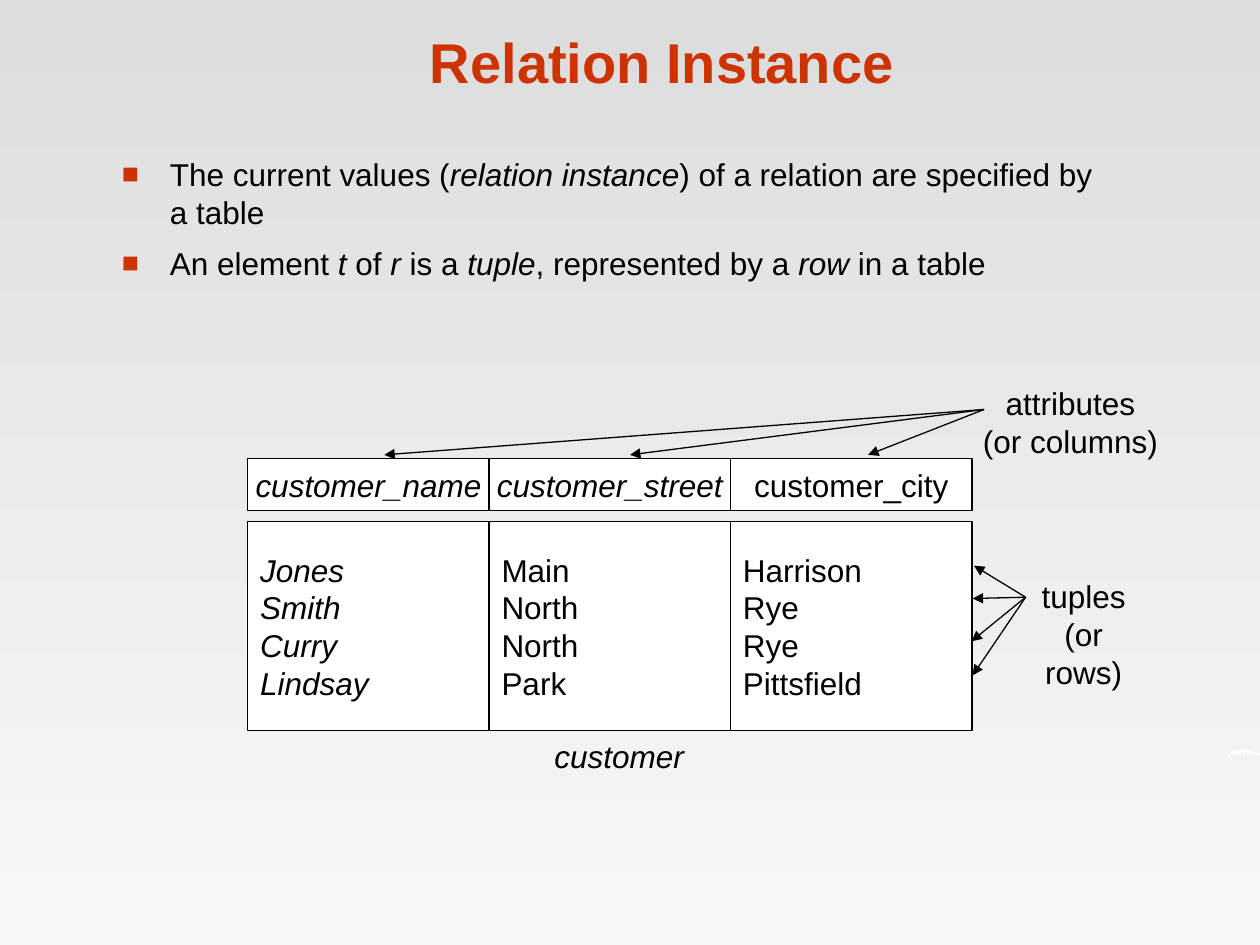
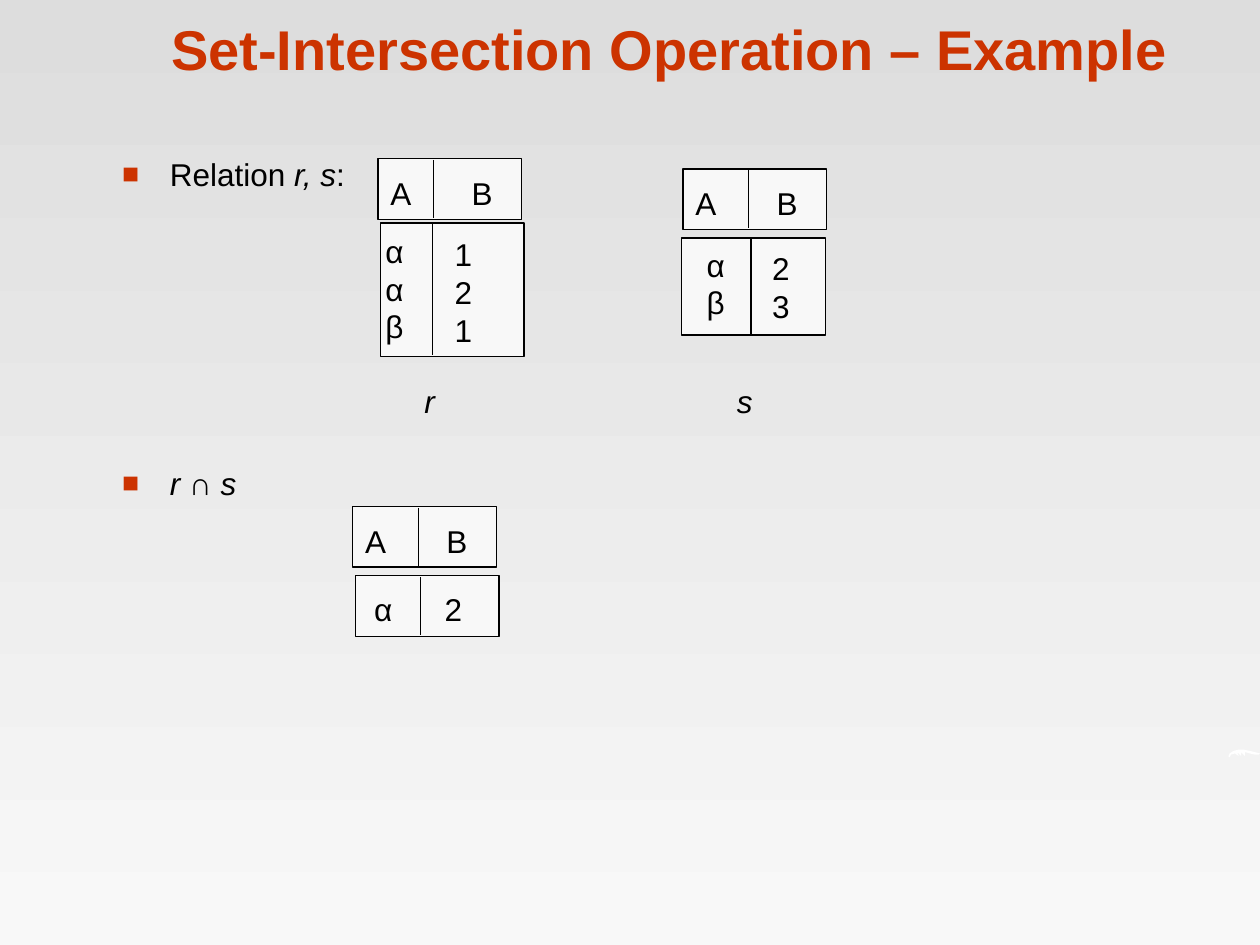
from lxml import etree
from pptx import Presentation, util as u
from pptx.dml.color import RGBColor
from pptx.enum import shapes, text
from pptx.oxml.ns import qn

RED = RGBColor(0xCC, 0x33, 0x00)
BLACK = RGBColor(0, 0, 0)
WHITE = RGBColor(0xFF, 0xFF, 0xFF)
PALE = RGBColor(0xF8, 0xF8, 0xF8)
GREY = RGBColor(0xDD, 0xDD, 0xDD)
FONT = "Arial"
LEFT, CENTER = text.PP_ALIGN.LEFT, text.PP_ALIGN.CENTER
TOP, MIDDLE, BOTTOM = (text.MSO_ANCHOR.TOP, text.MSO_ANCHOR.MIDDLE,
                       text.MSO_ANCHOR.BOTTOM)

prs = Presentation()
prs.slide_width, prs.slide_height = u.Inches(10), u.Inches(7.5)
G = prs.slide_width // 100  # the slide is a grid of 100 columns by 75 rows


def write(s, box, paras, size=18, color=BLACK, bold=False, align=LEFT, anchor=TOP,
          fill=None, wrap=True, bullet=False, before=0, tab=None):
    """Put paragraphs in a box of grid units; *stars* mark italics, fill adds an outline."""
    box = [int(v * G) for v in box]
    if fill is None:
        sp = s.shapes.add_textbox(*box)
    else:
        sp = s.shapes.add_shape(shapes.MSO_SHAPE.RECTANGLE, *box)
        sp.shadow.inherit = False
        sp.fill.solid()
        sp.fill.fore_color.rgb = fill
        sp.line.color.rgb = BLACK
        sp.line.width = u.Pt(0.75)
    tf = sp.text_frame
    tf.word_wrap = wrap
    tf.vertical_anchor = anchor
    for i, para in enumerate(paras):
        p = tf.add_paragraph() if i else tf.paragraphs[0]
        p.alignment = align
        p.line_spacing = u.Pt(size * 1.2)
        p.space_before = u.Pt(before if i else 0)
        pPr = p._p.get_or_add_pPr()
        if bullet:
            pPr.set("marL", str(int(3.8 * G)))
            pPr.set("indent", str(int(-3.8 * G)))
            clr = etree.SubElement(pPr, qn("a:buClr"))
            etree.SubElement(clr, qn("a:srgbClr"), val=str(RED))
            etree.SubElement(pPr, qn("a:buSzPct"), val="90000")
            etree.SubElement(pPr, qn("a:buFont"), typeface=FONT)
            etree.SubElement(pPr, qn("a:buChar"), char="■")
        if tab:
            tabs = etree.SubElement(pPr, qn("a:tabLst"))
            etree.SubElement(tabs, qn("a:tab"), pos=str(int(tab * G)), algn="l")
        for j, part in enumerate(para.split("*")):
            if part:
                r = p.add_run()
                r.text = part
                r.font.name, r.font.size = FONT, u.Pt(size)
                r.font.bold, r.font.italic = bold, j % 2 == 1
                r.font.color.rgb = color


def line(s, *ends, arrow=False):
    c = s.shapes.add_connector(shapes.MSO_CONNECTOR.STRAIGHT,
                               *[int(v * G) for v in ends])
    c.line.color.rgb = BLACK
    c.line.width = u.Pt(0.75)
    spPr = c._element.spPr
    if arrow:
        etree.SubElement(spPr.find(qn("a:ln")), qn("a:tailEnd"), type="triangle")
    etree.SubElement(spPr, qn("a:effectLst"))


# Shared background, corner swoosh and titles
bg = prs.slide_master.background.fill
bg.gradient()
bg.gradient_angle = 270
for stop, color in zip(bg.gradient_stops, (GREY, PALE)):
    stop.color.rgb = color

# Swoosh outline in tenths of a grid unit
SWOOSH = [(975, 600), (976, 598), (979, 596), (983, 595), (987, 595), (992, 596),
          (996, 597), (1000, 598), (999, 599), (996, 599), (992, 598), (988, 597),
          (988, 600), (985, 597), (985, 600), (982, 597), (983, 600), (980, 598),
          (977, 599), (976, 601)]
TITLES = [("Relation Instance", 8.4, 1.3),
          ("Set-Intersection Operation – Example", 9, 0.3)]
slides = []
for title, x, y in TITLES:
    s = prs.slides.add_slide(prs.slide_layouts[6])
    fb = s.shapes.build_freeform(975, 601, scale=G / 10)
    fb.add_line_segments(SWOOSH, close=True)
    sp = fb.convert_to_shape()
    sp.shadow.inherit = False
    sp.fill.solid()
    sp.fill.fore_color.rgb = WHITE
    sp.line.fill.background()
    write(s, (x, y, 88.3, 6.7), [title], size=32, color=RED, bold=True,
          align=CENTER, anchor=BOTTOM)
    slides.append(s)

# Relation Instance
s = slides[0]
write(s, (8.7, 11.8, 81, 21.6),
      ["The current values (*relation instance*) of a relation are specified by a table",
       "An element *t* of *r* is a *tuple*, represented by a *row *in a table"],
      bullet=True, before=7.9)

CUSTOMER = [("*customer_name*", ["*Jones*", "*Smith*", "*Curry*", "*Lindsay*"]),
            ("*customer_street*", ["Main", "North", "North", "Park"]),
            ("customer_city", ["Harrison", "Rye", "Rye", "Pittsfield"])]
COL_W = 19.16
for i, (name, values) in enumerate(CUSTOMER):
    x = 19.66 + i * COL_W
    write(s, (x, 41.4, COL_W, 16.6), values, anchor=MIDDLE, fill=WHITE, wrap=False)
    write(s, (x, 36.4, COL_W, 4.1), [name], align=CENTER, anchor=MIDDLE,
          fill=WHITE, wrap=False)

LABELS = [((43, 58, 12.3, 4), ["*customer*"]),
          ((77, 30, 15.9, 7), ["attributes", "(or columns)"]),
          ((80.1, 45.3, 11.8, 7), ["tuples", "(or rows)"])]
for box, paras in LABELS:
    write(s, box, paras, align=CENTER, wrap=False)

for x, y in [(30.5, 36.1), (50, 36.1), (68.9, 36.1)]:
    line(s, 78.1, 32.5, x, y, arrow=True)
for x, y in [(77.3, 44.9), (77.2, 47.5), (77.1, 50.9), (77.2, 53.6)]:
    line(s, 81.4, 47.4, x, y, arrow=True)

# Set-Intersection Operation
s = slides[1]
write(s, (8.7, 11.8, 85.8, 53.3), ["Relation *r, s*:", "*r *∩ *s*"],
      bullet=True, before=155)

BOX_W, HEAD_H = 11.4, 4.8
# Header corner and divider, body corner, height and divider, then body texts
RELATIONS = [
    ((30, 12.6, 34.4), (30.2, 17.7, 10.6, 34.3),
     [(29.6, 17.9, ["α", "α", "β"]), (35.1, 18.2, ["1", "2", "1"])]),
    ((54.2, 13.4, 59.4), (54.1, 18.9, 7.7, 59.6),
     [(55.1, 19, ["α", "β"]), (60.3, 19.3, ["2", "3"])]),
    ((28, 40.2, 33.2), (28.2, 45.7, HEAD_H, 33.4), [(28.7, 46.3, ["α\t2"])]),
]
for (hx, hy, hsplit), (bx, by, bh, bsplit), columns in RELATIONS:
    for x, y, h, split in [(hx, hy, HEAD_H, hsplit), (bx, by, bh, bsplit)]:
        write(s, (x, y, BOX_W, h), [], fill=PALE)
        line(s, split, y + 0.1, split, y + h - 0.1)
    write(s, (hx, hy + 0.7, BOX_W, 4), ["A\tB"], tab=6.45)
    for x, y, paras in columns:
        tabbed = "\t" in paras[0]
        write(s, (x, y, 9.1 if tabbed else 3.6, 1 + 3 * len(paras)), paras,
              tab=5.6 if tabbed else None)

for x, name in [(32.7, "*r*"), (57.5, "*s*")]:
    write(s, (x, 29.8, 3.2, 4), [name])

prs.save("out.pptx")
